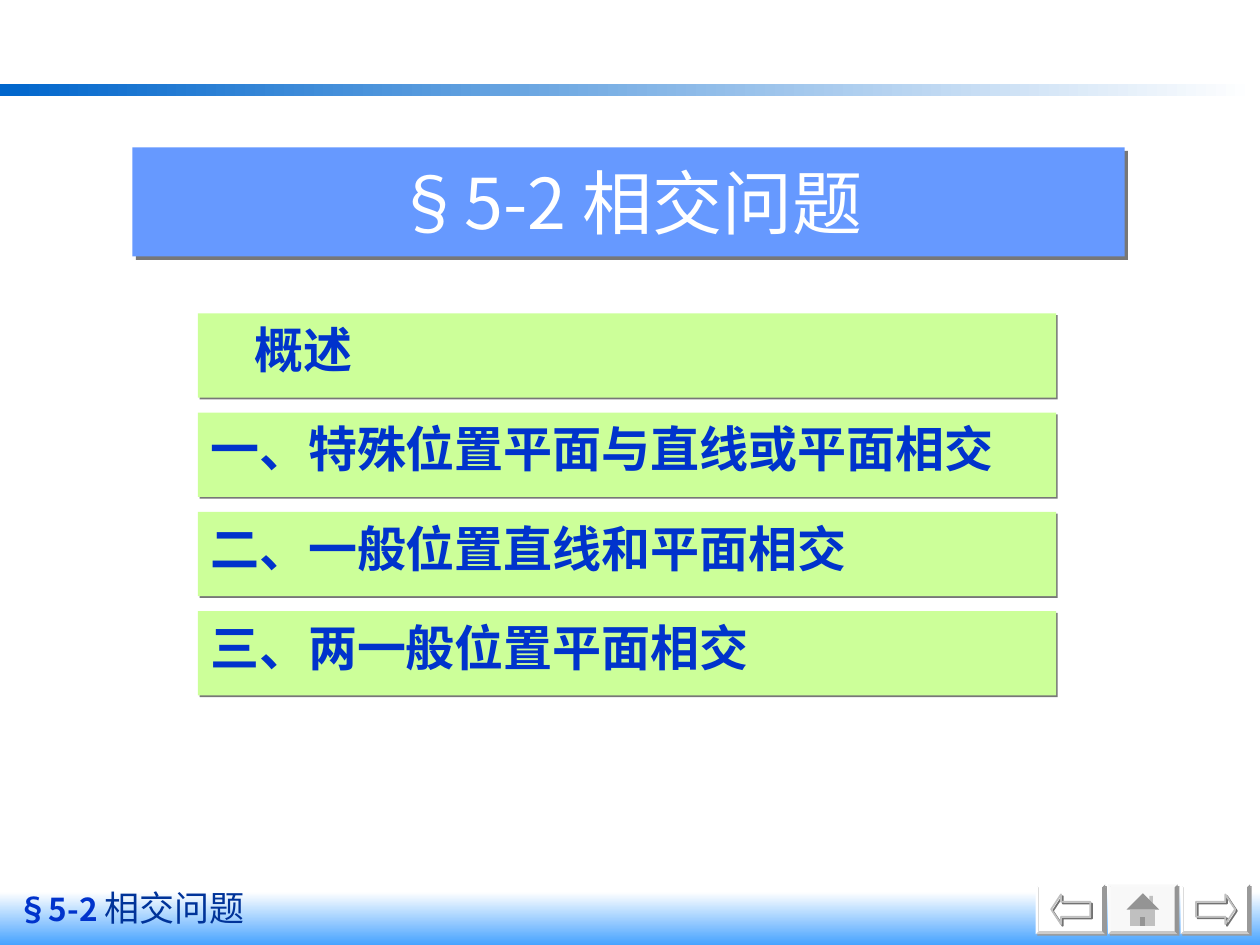
"""Build the section menu slide for §5-2 with its bars and buttons."""
from typing import NamedTuple

from lxml import etree
from pptx import Presentation
from pptx.dml.color import RGBColor
from pptx.enum.shapes import MSO_SHAPE
from pptx.enum.text import MSO_ANCHOR, PP_ALIGN
from pptx.oxml.ns import qn
from pptx.util import Cm, Pt

RECT, BEVEL, ARROW = MSO_SHAPE.RECTANGLE, MSO_SHAPE.BEVEL, MSO_SHAPE.RIGHT_ARROW
TOP, MIDDLE = MSO_ANCHOR.TOP, MSO_ANCHOR.MIDDLE
LEFT, CENTER = PP_ALIGN.LEFT, PP_ALIGN.CENTER

WHITE = RGBColor(0xFF, 0xFF, 0xFF)
PALE = RGBColor(0xF8, 0xF8, 0xF8)
SILVER = RGBColor(0xC0, 0xC0, 0xC0)
GREY = RGBColor(0x94, 0x94, 0x94)
EDGE = RGBColor(0x98, 0x98, 0x98)
DARK = RGBColor(0x72, 0x72, 0x72)
SHADE = RGBColor(0x77, 0x77, 0x77)
OCEAN = RGBColor(0x00, 0x66, 0xCC)
SKY = RGBColor(0x47, 0xA3, 0xFF)
BLUE = RGBColor(0x66, 0x99, 0xFF)
INK = RGBColor(0x00, 0x33, 0xCC)
NAVY = RGBColor(0x00, 0x33, 0x99)
LIME = RGBColor(0xCC, 0xFF, 0x99)

SANS, SONG = "Noto Sans CJK JP", "Noto Sans CJK SC"
HEAD = {"name": SANS, "size": Pt(40), "bold": False}
ITEM = {"name": SONG, "size": Pt(28), "bold": True}
MARK = {"name": SONG, "size": Pt(18), "bold": True}
NOTE = {"name": SONG, "size": Pt(20), "bold": False}


class Box(NamedTuple):
    """Place and size in centimetres."""
    x: float
    y: float
    w: float
    h: float

    def lens(self) -> tuple:
        """Return the four values as lengths."""
        return tuple(Cm(n) for n in self)


class Entry(NamedTuple):
    """A menu line with its left margin and first-line indent."""
    text: str
    margin: float
    indent: float


class Button(NamedTuple):
    """A button's left edge, face colour and arrow turn."""
    x: float
    face: RGBColor
    turn: int | None


class Part(NamedTuple):
    """A polygon of the house with its colour."""
    color: RGBColor
    points: tuple


MENU = (
    Entry("概述", 0.9, 0),
    Entry("一、特殊位置平面与直线或平面相交", 0.95, -0.95),
    Entry("二、一般位置直线和平面相交", 0.95, -0.95),
    Entry("三、两一般位置平面相交", 0.95, -0.95),
)
BUTTONS = (Button(20.88, WHITE, 180), Button(23.8, WHITE, 0), Button(22.34, PALE, None))
HOUSE = (
    Part(SILVER, ((0.13, 0.05), (0.2, 0.05), (0.2, 0.2), (0.13, 0.13))),
    Part(SILVER, ((-0.25, 0.33), (0.25, 0.33), (0.25, 0.66), (-0.25, 0.66))),
    Part(GREY, ((0, 0), (0.33, 0.33), (-0.33, 0.33))),
    Part(GREY, ((-0.05, 0.48), (0.05, 0.48), (0.05, 0.66), (-0.05, 0.66))),
)


def shade(shape, color: RGBColor, dist: float) -> None:
    """Give a shape a hard shadow to the lower right."""
    shape.shadow.inherit = False
    effects = shape._element.spPr.find(qn("a:effectLst"))
    drop = etree.SubElement(effects, qn("a:outerShdw"), dist=str(Pt(dist)),
                            dir="2700000", algn="ctr", rotWithShape="0")
    etree.SubElement(drop, qn("a:srgbClr"), val=str(color))


def paint(shape, color: RGBColor) -> None:
    """Fill a shape with one colour and no outline."""
    shape.fill.solid()
    shape.fill.fore_color.rgb = color
    shape.line.fill.background()


def write(para, text: str, style: dict, color: RGBColor) -> None:
    """Add a formatted run to a paragraph."""
    run = para.add_run()
    run.text = text
    for key, value in style.items():
        setattr(run.font, key, value)
    run.font.color.rgb = color
    etree.SubElement(run._r.get_or_add_rPr(), qn("a:ea"), typeface=style["name"])


def frame(shape, anchor, align):
    """Set up a text frame and return its first paragraph."""
    text = shape.text_frame
    text.word_wrap = True
    text.vertical_anchor = anchor
    para = text.paragraphs[0]
    para.alignment = align
    return para


def band(shapes, box: Box, colors: tuple, angle: int) -> None:
    """Draw a bar that blends two colours."""
    bar = shapes.add_shape(RECT, *box.lens())
    bar.shadow.inherit = False
    bar.line.fill.background()
    bar.fill.gradient()
    bar.fill.gradient_angle = angle
    for stop, color in zip(bar.fill.gradient_stops, colors):
        stop.color.rgb = color


def title(shape, box: Box) -> None:
    """Move and format the title placeholder."""
    shape.left, shape.top, shape.width, shape.height = box.lens()
    paint(shape, BLUE)
    shade(shape, SHADE, 2.8)
    write(frame(shape, MIDDLE, CENTER), "§5-2 相交问题", HEAD, WHITE)


def row(shapes, entry: Entry, box: Box) -> None:
    """Draw one menu line."""
    panel = shapes.add_shape(RECT, *box.lens())
    paint(panel, LIME)
    shade(panel, SHADE, 1.4)
    para = frame(panel, TOP, LEFT)
    props = para._p.get_or_add_pPr()
    props.set("marL", str(Cm(entry.margin)))
    props.set("indent", str(Cm(entry.indent)))
    write(para, entry.text, ITEM, INK)


def house(shapes, x: float, y: float) -> None:
    """Draw the house with its roof tip at the given point."""
    for part in HOUSE:
        spots = [(Cm(x + dx), Cm(y + dy)) for dx, dy in part.points]
        pen = shapes.build_freeform(*spots[0], scale=1.0)
        pen.add_line_segments(spots[1:], close=True)
        shape = pen.convert_to_shape()
        shape.shadow.inherit = False
        paint(shape, part.color)


def button(shapes, item: Button) -> None:
    """Draw a raised button with an arrow or a house."""
    base = shapes.add_shape(BEVEL, *Box(item.x, 17.83, 1.4, 1).lens())
    base.adjustments[0] = 0.06
    paint(base, item.face)
    shade(base, EDGE, 1.4)
    if item.turn is None:
        house(shapes, item.x + 0.7, 18.01)
        return
    arrow = shapes.add_shape(ARROW, *Box(item.x + 0.31, 18.03, 0.79, 0.6).lens())
    arrow.adjustments[0], arrow.adjustments[1] = 0.5, 0.33
    arrow.rotation = item.turn
    arrow.fill.background()
    arrow.line.color.rgb = SILVER
    arrow.line.width = Pt(1)
    shade(arrow, DARK, 1.4)


def main() -> None:
    """Build and save the slide."""
    deck = Presentation()
    deck.slide_width, deck.slide_height = Cm(25.4), Cm(19.05)
    slide = deck.slides.add_slide(deck.slide_layouts[5])
    shapes = slide.shapes
    band(shapes, Box(0, 1.7, 25.3, 0.23), (OCEAN, WHITE), 0)
    band(shapes, Box(0, 17.98, 25.4, 1.07), (WHITE, SKY), 270)
    foot = frame(shapes.add_textbox(*Box(0.1, 17.75, 11.86, 1.12).lens()), TOP, LEFT)
    write(foot, "§5-2 ", MARK, INK)
    write(foot, "相交问题", NOTE, NAVY)
    title(shapes.title, Box(2.67, 2.97, 20, 2.2))
    for i, entry in enumerate(MENU):
        row(shapes, entry, Box(3.99, 6.32 + 2 * i, 17.3, 1.7))
    for item in BUTTONS:
        button(shapes, item)
    deck.save("out.pptx")


if __name__ == "__main__":
    main()
